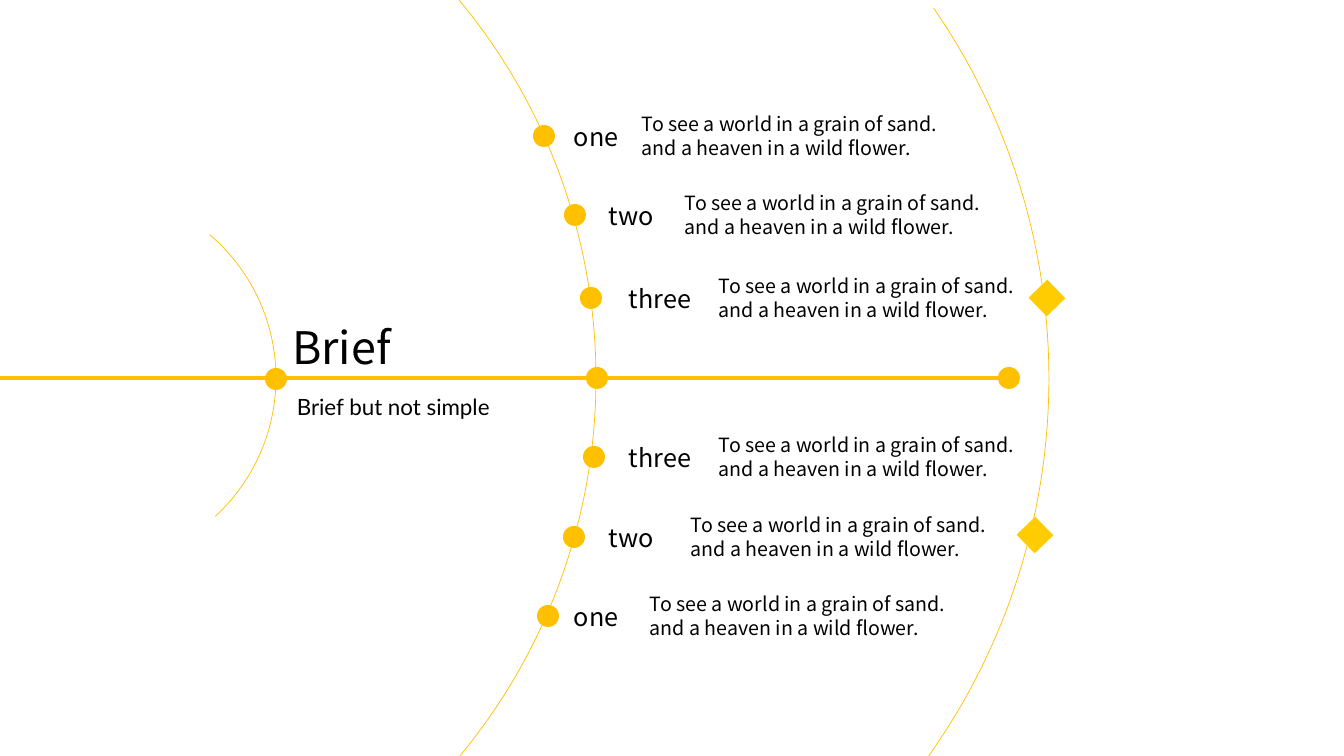
import pptx
import pptx.dml.color
import pptx.enum.shapes
import pptx.enum.text
import pptx.util
from lxml import etree

TITLE = "Brief"
SUBTITLE = "Brief but not simple"
QUOTE = "To see a world in a grain of sand. and a heaven in a wild flower."

# label, dot centre x, centre y, label left, quote left (px)
ROWS = [
    ("one", 544, 136, 564, 632),
    ("two", 575, 215, 599, 675),
    ("three", 591, 298, 619, 709),
    ("three", 594, 457, 619, 709),
    ("two", 574, 537, 599, 681),
    ("one", 548, 616, 564, 640),
]
# left, top, diameter (px), start and end angle (degrees)
ARCS = [
    (-256, -274, 1305, 325.41, 35.61),
    (-587, -213, 1183, 319.39, 40.36),
    (-100, 190, 376, 310.32, 47.42),
]
AXIS_Y, AXIS_END = 378, 1013
AXIS_DOTS = [(276, 379), (597, AXIS_Y), (1009, AXIS_Y)]
DIAMONDS = [(1047, 298), (1035, 535)]
DOT, DIAMOND = 22, 26

THEME = {
    "gold": pptx.dml.color.RGBColor(0xFF, 0xC0, 0x00),
    "diamond": pptx.dml.color.RGBColor(0xFF, 0xCC, 0x01),
    "ink": pptx.dml.color.RGBColor(0, 0, 0),
    "title": ("Noto Sans CJK KR", 32),
    "subtitle": ("Lato", 16),
    "label": ("Noto Sans CJK SC", 18),
    "quote": ("Noto Sans CJK SC", 14),
}
SHAPE = pptx.enum.shapes.MSO_SHAPE


def px(n):
    return round(n * 914400 / 100.8)


def write(sp, text, style, left, top, width, height):
    """Place a text shape and set its text in one of the theme's styles."""
    sp.left, sp.top, sp.width, sp.height = map(px, (left, top, width, height))
    tf = sp.text_frame
    tf.text = text
    tf.word_wrap = True
    tf.auto_size = pptx.enum.text.MSO_AUTO_SIZE.SHAPE_TO_FIT_TEXT
    tf.vertical_anchor = pptx.enum.text.MSO_ANCHOR.TOP
    p = tf.paragraphs[0]
    p.alignment = pptx.enum.text.PP_ALIGN.LEFT
    font = p.runs[0].font
    font.name, size = THEME[style]
    font.size = pptx.util.Pt(size)
    font.color.rgb = THEME["ink"]


def add_text(s, text, style, *box):
    write(s.shapes.add_textbox(0, 0, 0, 0), text, style, *box)


def add_arc(s, left, top, diameter, start, end):
    sp = s.shapes.add_shape(SHAPE.ARC, px(left), px(top), px(diameter), px(diameter))
    # Arc adjustments count 60000ths of a degree, scaled down by 100000
    sp.adjustments[0], sp.adjustments[1] = start * 0.6, end * 0.6
    sp.shadow.inherit = False
    sp.fill.background()
    sp.line.color.rgb = THEME["gold"]
    sp.line.width = pptx.util.Pt(0.5)


def add_marker(s, kind, x, y, size, color):
    """Add a filled shape centred on x, y."""
    sp = s.shapes.add_shape(kind, px(x - size / 2), px(y - size / 2), px(size), px(size))
    sp.shadow.inherit = False
    sp.fill.solid()
    sp.fill.fore_color.rgb = THEME[color]
    sp.line.fill.background()
    return sp


def add_axis(s):
    line = s.shapes.add_connector(
        pptx.enum.shapes.MSO_CONNECTOR.STRAIGHT, px(AXIS_END), px(AXIS_Y), 0, px(AXIS_Y))
    line.line.color.rgb = THEME["gold"]
    line.line.width = pptx.util.Pt(3.25)
    etree.SubElement(line.element.spPr, pptx.oxml.ns.qn("a:effectLst"))


def main():
    prs = pptx.Presentation()
    prs.slide_width, prs.slide_height = px(1344), px(756)
    s = prs.slides.add_slide(prs.slide_layouts[5])

    for arc in ARCS:
        add_arc(s, *arc)
    add_axis(s)
    for x, y in AXIS_DOTS + [row[1:3] for row in ROWS]:
        add_marker(s, SHAPE.OVAL, x, y, DOT, "gold")

    write(s.shapes.title, TITLE, "title", 282, 315, 155, 65)
    add_text(s, SUBTITLE, "subtitle", 287, 388, 270, 37)
    for label, _, y, label_x, quote_x in ROWS:
        add_text(s, label, "label", label_x, y - 20, 83, 40)
        add_text(s, QUOTE, "quote", quote_x, y - 29, 338, 57)
    for x, y in DIAMONDS:
        add_marker(s, SHAPE.RECTANGLE, x, y, DIAMOND, "diamond").rotation = 316

    prs.save("out.pptx")


if __name__ == "__main__":
    main()
